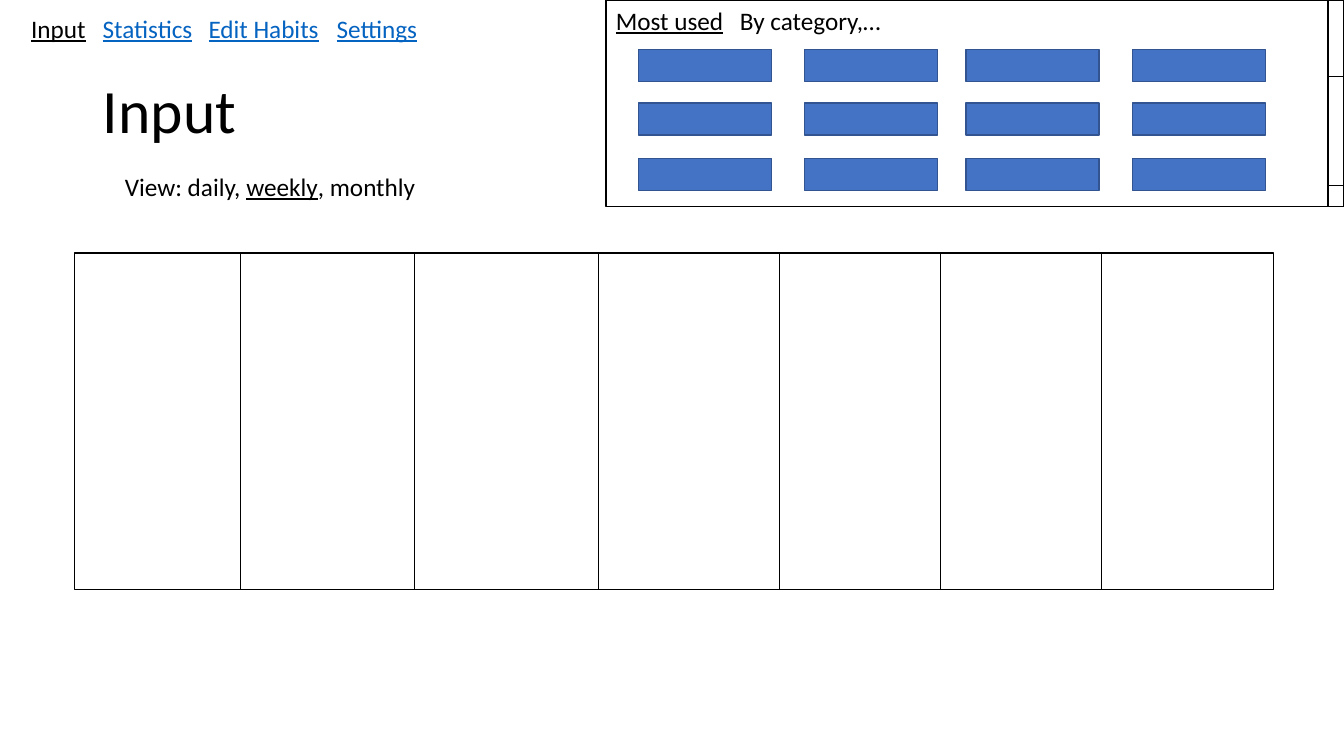
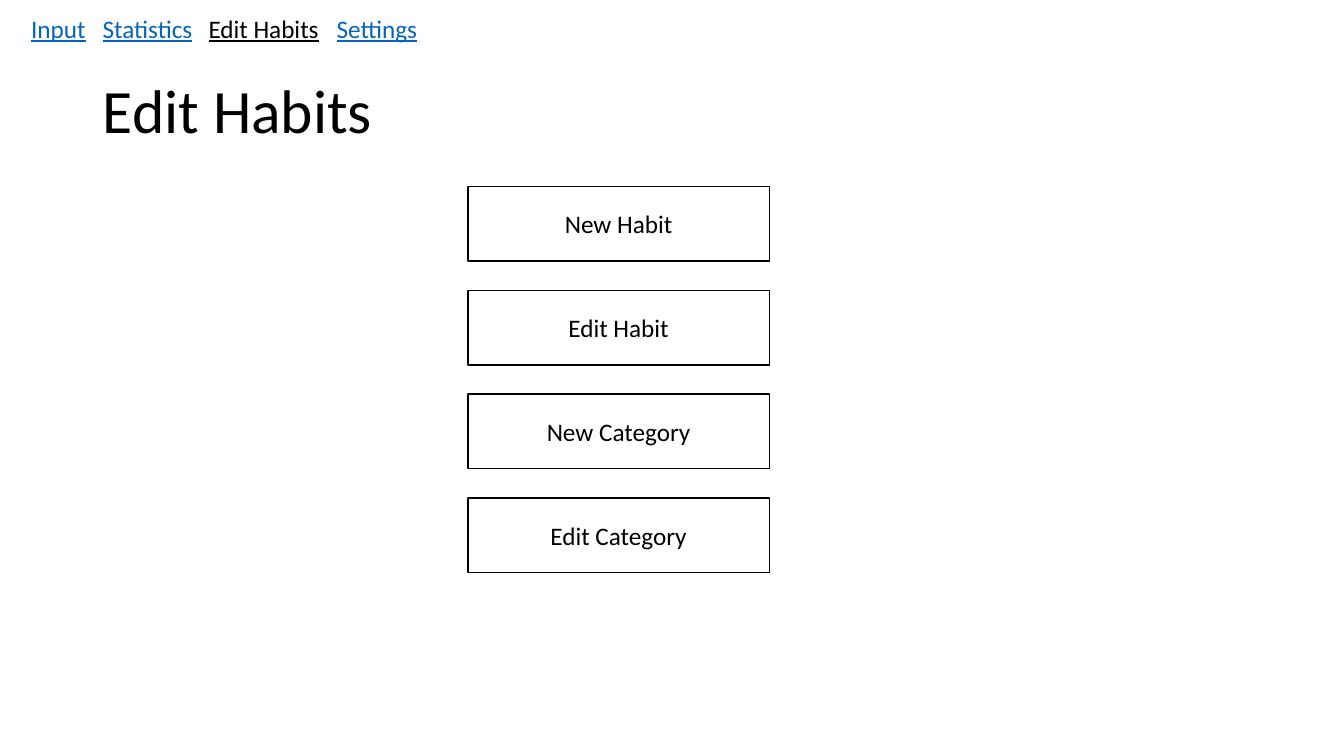
from itertools import product

from lxml import etree
from pptx import Presentation
from pptx import util as u
from pptx.dml.color import RGBColor
from pptx.enum import shapes, text
from pptx.oxml.ns import qn

COLORS = {"ink": "000000", "link": "0563C1", "button": "4472C4", "edge": "325491"}
FONT = "Calibri"
PAGES = ["Input", "Statistics", "Edit Habits", "Settings"]
PAGE_TABS = [0.71, 1.76, 3.03]


class Wireframe:
    """Holds the deck style and the current slide."""

    def __init__(self):
        self.deck = Presentation()
        self.deck.slide_width = u.Inches(13.33)
        self.deck.slide_height = u.Inches(7.5)
        self.page = None

    def color(self, name):
        return RGBColor.from_string(COLORS[name])

    def add_span(self, para, words, size=18, color="ink", underline=False):
        span = para.add_run()
        span.text = words
        span.font.name = FONT
        span.font.size = u.Pt(size)
        span.font.color.rgb = self.color(color)
        span.font.underline = underline

    def add_page(self, name):
        self.page = self.deck.slides.add_slide(self.deck.slide_layouts[5])
        self.add_title(name)
        self.add_navigation(name)

    def add_title(self, words):
        title = self.page.shapes.title
        title.left, title.top = u.Inches(0.92), u.Inches(0.4)
        title.width, title.height = u.Inches(11.5), u.Inches(1.45)
        title.text_frame.vertical_anchor = text.MSO_ANCHOR.MIDDLE
        para = title.text_frame.paragraphs[0]
        para.alignment = text.PP_ALIGN.LEFT
        para.line_spacing = 0.9
        self.add_span(para, words, size=44)

    def add_navigation(self, current):
        items = []
        for name in PAGES:
            if items:
                items.append(("\t", "ink", False))
            items.append((name, "ink" if name == current else "link", True))
        self.add_text(0.21, 0.08, 4.09, items, PAGE_TABS)

    def add_text(self, left, top, width, spans, tabs=()):
        """Add one line of (words, color, underline) spans."""
        box = self.page.shapes.add_textbox(
            u.Inches(left), u.Inches(top), u.Inches(width), u.Inches(0.4))
        box.text_frame.word_wrap = True
        para = box.text_frame.paragraphs[0]
        for words, color, underline in spans:
            self.add_span(para, words, color=color, underline=underline)
        if tabs:
            stops = etree.SubElement(para._p.get_or_add_pPr(), qn("a:tabLst"))
            for tab in tabs:
                etree.SubElement(stops, qn("a:tab"), pos=str(u.Inches(tab)), algn="l")

    def add_box(self, left, top, width, height, fill=None, line="ink", label=None):
        box = self.page.shapes.add_shape(
            shapes.MSO_SHAPE.RECTANGLE, u.Inches(left), u.Inches(top),
            u.Inches(width), u.Inches(height))
        box.shadow.inherit = False
        if fill:
            box.fill.solid()
            box.fill.fore_color.rgb = self.color(fill)
        else:
            box.fill.background()
        box.line.color.rgb = self.color(line)
        box.line.width = u.Pt(1)
        if label:
            box.text_frame.vertical_anchor = text.MSO_ANCHOR.MIDDLE
            para = box.text_frame.paragraphs[0]
            para.alignment = text.PP_ALIGN.CENTER
            self.add_span(para, label)

    def add_divider(self, x, top, bottom):
        line = self.page.shapes.add_connector(
            shapes.MSO_CONNECTOR.STRAIGHT, u.Inches(x), u.Inches(top),
            u.Inches(x), u.Inches(bottom))
        line.line.color.rgb = self.color("ink")
        line.line.width = u.Pt(0.5)
        etree.SubElement(line._element.spPr, qn("a:effectLst"))


app = Wireframe()

# Input page: view switch and week columns
app.add_page("Input")
app.add_text(1.14, 1.65, 4.09, [
    ("View: daily, ", "ink", False), ("weekly", "ink", True), (", monthly", "ink", False)])
app.add_box(0.74, 2.51, 11.89, 3.34)
for day_x in (2.38, 4.11, 5.93, 7.73, 9.33, 10.92):
    app.add_divider(day_x, 2.51, 5.85)

# Input page: habit panel with its buttons
app.add_box(6.01, 0, 7.32, 2.05)
app.add_text(6.01, 0, 3.57, [
    ("Most used", "ink", True), ("\t", "ink", False), ("By category,…", "ink", False)], [1.23])
for button_x, button_y in product((6.33, 7.98, 9.58, 11.23), (0.49, 1.02, 1.57)):
    app.add_box(button_x, button_y, 1.32, 0.32, fill="button", line="edge")

# Input page: scroll bar, thumb then track
for bar_top, bar_height in ((0.76, 1.08), (0, 2.05)):
    app.add_box(13.17, bar_top, 0.16, bar_height)

# Edit Habits page: stacked actions
app.add_page("Edit Habits")
for row, action in enumerate(["New Habit", "Edit Habit", "New Category", "Edit Category"]):
    app.add_box(4.64, 1.85 + 1.03 * row, 2.99, 0.74, label=action)

app.deck.save("out.pptx")
